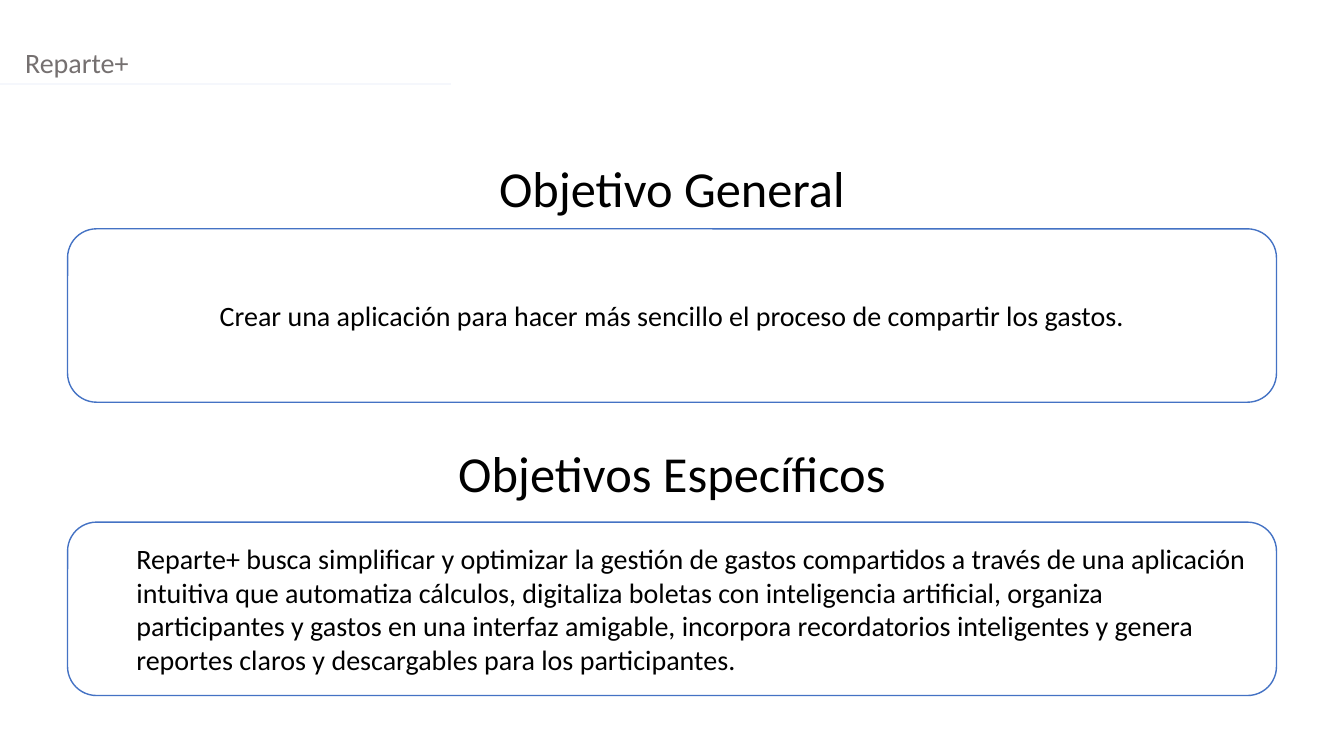
from dataclasses import dataclass

from pptx import Presentation
from pptx import util as u
from pptx.dml.color import RGBColor
from pptx.enum import shapes, text
from pptx.oxml.ns import qn
from lxml import etree


@dataclass(frozen=True)
class Theme:
    font: str = "Calibri"
    heading_size: int = 36
    body_size: int = 20
    ink: str = "000000"
    muted: str = "757070"
    paper: str = "FFFFFF"
    border: str = "4472C4"
    rule: str = "F5F7FC"


THEME = Theme()
SLIDE_W, SLIDE_H = 13.33, 7.5
CENTER, LEFT = text.PP_ALIGN.CENTER, text.PP_ALIGN.LEFT


def write(sp, wording, size, color, align, indent=0):
    tf = sp.text_frame
    tf.word_wrap = True
    tf.text = wording
    p = tf.paragraphs[0]
    p.alignment = align
    if indent:
        pPr = p._p.get_or_add_pPr()
        pPr.set("marL", str(u.Inches(indent)))
        pPr.set("indent", "0")
    r = p.runs[0]
    r.font.name = THEME.font
    r.font.size = u.Pt(size)
    r.font.color.rgb = RGBColor.from_string(color)


def add_label(s, box, wording, size, color, align):
    sp = s.shapes.add_textbox(*map(u.Inches, box))
    write(sp, wording, size, color, align)


def add_header(s, left, top, width, wording):
    add_label(s, (left + 0.15, top, width - 0.15, 0.44), wording,
              THEME.body_size, THEME.muted, LEFT)
    y = u.Inches(top + 0.43)
    line = s.shapes.add_connector(shapes.MSO_CONNECTOR.STRAIGHT,
                                  u.Inches(left), y, u.Inches(left + 4.47), y)
    line.line.color.rgb = RGBColor.from_string(THEME.rule)
    line.line.width = u.Pt(1.25)
    etree.SubElement(line._element.spPr, qn("a:effectLst"))


def add_card(s, left, top, width, height, wording, align, indent):
    sp = s.shapes.add_shape(shapes.MSO_SHAPE.ROUNDED_RECTANGLE,
                            *map(u.Inches, (left, top, width, height)))
    sp.shadow.inherit = False
    sp.adjustments[0] = 0.167
    sp.fill.solid()
    sp.fill.fore_color.rgb = RGBColor.from_string(THEME.paper)
    sp.line.color.rgb = RGBColor.from_string(THEME.border)
    sp.line.width = u.Pt(1)
    sp.text_frame.vertical_anchor = text.MSO_ANCHOR.MIDDLE
    write(sp, wording, THEME.body_size, THEME.ink, align, indent)


def add_objective(s, top, card_offset, heading, body, align=CENTER, indent=0):
    add_label(s, (0, top, SLIDE_W, 0.71), heading,
              THEME.heading_size, THEME.ink, CENTER)
    margin = 0.67
    add_card(s, margin, top + card_offset, SLIDE_W - 2 * margin, 1.72,
             body, align, indent)


def main():
    prs = Presentation()
    prs.slide_width, prs.slide_height = u.Inches(SLIDE_W), u.Inches(SLIDE_H)
    s = prs.slides.add_slide(prs.slide_layouts[6])
    add_header(s, 0, 0.4, SLIDE_W, "Reparte+")
    add_objective(
        s, 1.51, 0.76, "Objetivo General",
        "Crear una aplicación para hacer más sencillo el proceso de "
        "compartir los gastos.")
    add_objective(
        s, 4.34, 0.84, "Objetivos Específicos",
        "Reparte+ busca simplificar y optimizar la gestión de gastos "
        "compartidos a través de una aplicación intuitiva que automatiza "
        "cálculos, digitaliza boletas con inteligencia artificial, organiza "
        "participantes y gastos en una interfaz amigable, incorpora "
        "recordatorios inteligentes y genera reportes claros y descargables "
        "para los participantes.",
        align=LEFT, indent=0.5)
    prs.save("out.pptx")


if __name__ == "__main__":
    main()
